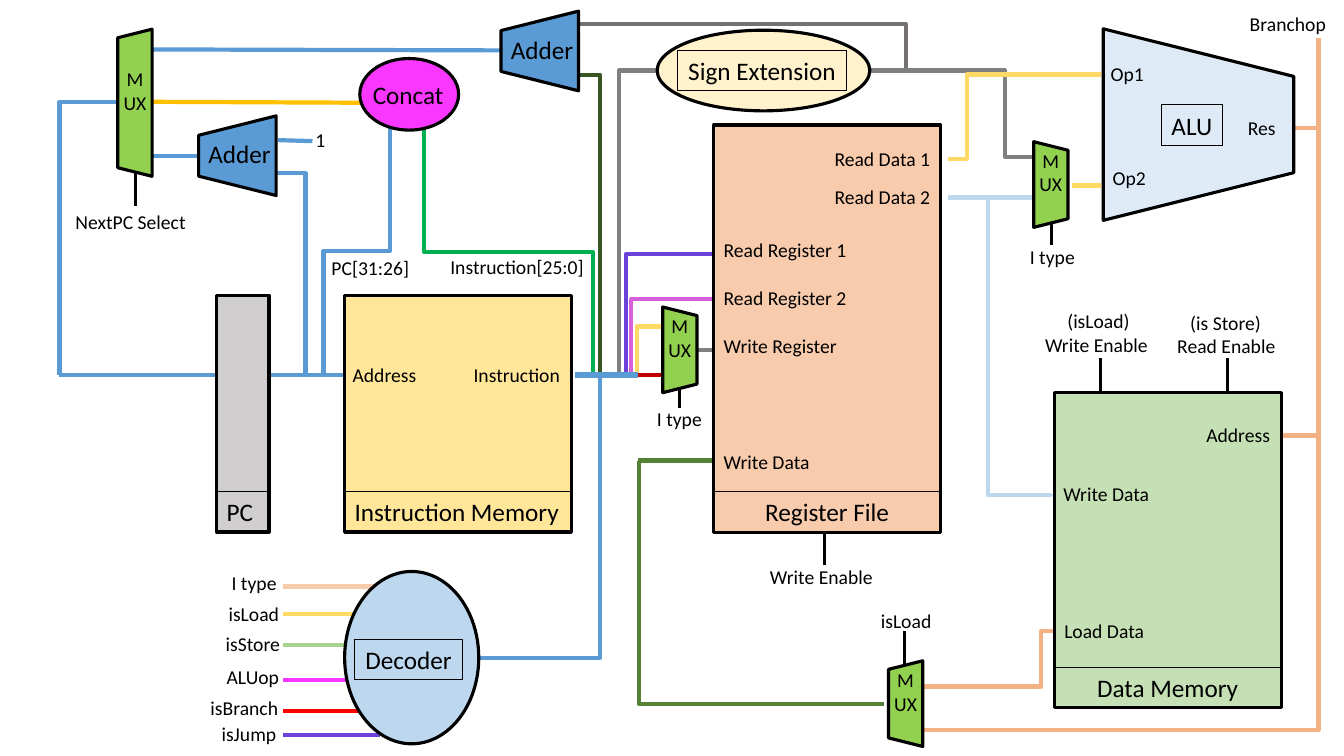
"""Draw the datapath of a single-cycle processor on one slide."""
from lxml import etree
from pptx import Presentation
from pptx.dml.color import RGBColor
from pptx.enum.shapes import MSO_CONNECTOR, MSO_SHAPE
from pptx.enum.text import PP_ALIGN
from pptx.oxml.ns import qn
from pptx.util import Pt

STRAIGHT, ELBOW = MSO_CONNECTOR.STRAIGHT, MSO_CONNECTOR.ELBOW
RECT, OVAL, TRAP = MSO_SHAPE.RECTANGLE, MSO_SHAPE.OVAL, MSO_SHAPE.TRAPEZOID
LEFT, CENTER = PP_ALIGN.LEFT, PP_ALIGN.CENTER

BLACK = RGBColor(0, 0, 0)
BLUE = RGBColor(0x5B, 0x9B, 0xD5)
PALE = RGBColor(0xBD, 0xD7, 0xEE)
ICE = RGBColor(0xDE, 0xEB, 0xF7)
GOLD = RGBColor(0xFF, 0xC0, 0x00)
YELLOW = RGBColor(0xFF, 0xD9, 0x66)
SAND = RGBColor(0xFF, 0xE6, 0x99)
CREAM = RGBColor(0xFF, 0xF2, 0xCC)
GREEN = RGBColor(0x00, 0xB0, 0x50)
FOREST = RGBColor(0x38, 0x57, 0x23)
MOSS = RGBColor(0x54, 0x82, 0x35)
LIME = RGBColor(0x92, 0xD0, 0x50)
SAGE = RGBColor(0xA9, 0xD1, 0x8E)
MINT = RGBColor(0xC5, 0xE0, 0xB4)
GRAY = RGBColor(0x80, 0x80, 0x80)
SLATE = RGBColor(0x76, 0x71, 0x71)
SILVER = RGBColor(0xD0, 0xCE, 0xCE)
PEACH = RGBColor(0xF8, 0xCB, 0xAD)
ORANGE = RGBColor(0xF4, 0xB1, 0x83)
RED = RGBColor(0xFF, 0, 0)
WINE = RGBColor(0xC0, 0, 0)
PURPLE = RGBColor(0x6C, 0x42, 0xDB)
ORCHID = RGBColor(0xD6, 0x60, 0xDB)
PINK = RGBColor(0xFA, 0x37, 0xFF)
BUS = 267.8


class Sheet:
    """Hold the style and the slide, and draw each kind of element."""

    font, small, large = "Calibri", 14, 18
    thin, edge, thick = 0.75, 2.25, 3

    def __init__(self, slide):
        self.shapes = slide.shapes

    def link(self, kind, color, ends, width):
        line = self.shapes.add_connector(kind, *map(Pt, ends))
        line.line.color.rgb = color
        line.line.width = Pt(width)
        etree.SubElement(line._element.spPr, qn("a:effectLst"))
        return line

    def wire(self, color, *ends, width=thick):
        self.link(STRAIGHT, color, ends, width)

    def elbow(self, color, x1, y1, x2, y2, bend=None, down=False):
        mx, my, dx, dy = (x1 + x2) / 2, (y1 + y2) / 2, x2 - x1, y2 - y1
        if down:
            turn = 90 if dx * dy < 0 else 270
            sign = 1 if turn == 90 else -1
            hx, hy = sign * dy / 2, -sign * dx / 2
        else:
            turn = 180 if dx < 0 else 0
            sign = -1 if turn else 1
            hx, hy = sign * dx / 2, sign * dy / 2
        ends = mx - hx, my - hy, mx + hx, my + hy
        props = self.link(ELBOW, color, ends, self.thick)._element.spPr
        props.find(qn("a:xfrm")).set("rot", str(turn * 60000))
        geom = props.find(qn("a:prstGeom"))
        if bend is None:
            geom.set("prst", "bentConnector2")
            return
        ratio = (bend - y1) / dy if down else (bend - x1) / dx
        guide = etree.SubElement(geom.find(qn("a:avLst")), qn("a:gd"))
        guide.set("name", "adj1")
        guide.set("fmla", f"val {round(ratio * 100000)}")

    def shape(self, kind, color, x, y, w, h, turn=0):
        item = self.shapes.add_shape(kind, Pt(x), Pt(y), Pt(w), Pt(h))
        item.shadow.inherit = False
        item.fill.solid()
        item.fill.fore_color.rgb = color
        item.line.color.rgb = BLACK
        item.line.width = Pt(self.edge)
        item.rotation = turn

    def label(self, text, x, y, w, h=24.5, size=small, align=LEFT, wrap=True):
        box = self.shapes.add_textbox(Pt(x), Pt(y), Pt(w), Pt(h))
        box.text_frame.word_wrap = wrap
        para = box.text_frame.paragraphs[0]
        para.text, para.alignment = text, align
        para.font.name, para.font.size = self.font, Pt(size)
        para.font.color.rgb = BLACK
        return box

    def title(self, text, x, y, w, align=CENTER, wrap=True):
        return self.label(text, x, y, w, 29, self.large, align, wrap)

    def frame(self, *args, **more):
        box = self.title(*args, **more)
        box.line.color.rgb = BLACK
        box.line.width = Pt(self.thin)

    def block(self, text, color, x, y, w, h, align=CENTER, wrap=True):
        self.shape(RECT, color, x, y, w, h)
        self.frame(text, x, y + h - 29, w, align=align, wrap=wrap)

    def funnel(self, color, cx, cy, span, depth, turn):
        self.shape(TRAP, color, cx - span / 2, cy - depth / 2, span, depth, turn)

    def mux(self, cx, cy, span, turn):
        self.funnel(LIME, cx, cy, span, 24.5, turn)
        self.label("MUX", cx - 15.5, cy - 29, 31, 58, align=CENTER)

    def adder(self, cx, cy):
        self.funnel(BLUE, cx, cy, 56.9, 55.4, 270)
        self.title("Adder", cx - 27.8, cy - 15.8, 59.8, LEFT, False)


deck = Presentation()
deck.slide_width, deck.slide_height = Pt(960), Pt(540)
sheet = Sheet(deck.slides.add_slide(deck.slide_layouts[6]))

sheet.wire(GOLD, 102.2, 72.7, 259.2, 73.4)
sheet.elbow(GREEN, 423.4, BUS, 303.1, 92.2, 180, True)
sheet.elbow(BLUE, 231.1, BUS, 278.6, 91.4, 179.3, True)
sheet.elbow(SLATE, 645.8, 49, 410.4, 17.3, 647.3)
sheet.elbow(FOREST, 428.4, BUS, 413.3, 53.3, 53.5, True)
sheet.wire(BLUE, 103, 35.3, 357.8, 36)
sheet.wire(BLUE, 107.3, 111.6, 141.8, 111.6)
sheet.elbow(BLUE, 218.2, BUS, 198, 125.3, 123.8, True)
sheet.wire(BLUE, 42.5, BUS, 155.5, BUS)
sheet.elbow(BLUE, 428.4, BUS, 342, 470.2, down=True)
sheet.wire(BLUE, 191.5, BUS, 244.8, BUS)
sheet.elbow(GRAY, 622.1, 50.4, 739.4, 112.3, 717.8)
sheet.elbow(GRAY, 442.1, BUS, 469.4, 50.4, down=True)
sheet.wire(MOSS, 455.8, 329, 517.7, 329)
sheet.elbow(PURPLE, 447.1, BUS, 509.8, 180, 181.4, True)
sheet.elbow(MOSS, 631.4, 502.6, 455.8, 329, 456.5)
sheet.wire(GRAY, 497.5, 249.8, 532.1, 249.8)
sheet.elbow(YELLOW, 455, BUS, 473, 231.8, 233.3, True)
sheet.wire(WINE, 453.6, BUS, 473, BUS)
sheet.elbow(ORANGE, 752.4, 450.7, 658.8, 490.3, 743.8)
sheet.elbow(ORANGE, 923.8, 91.4, 915.1, 311, 941.8)
sheet.wire(PALE, 676.8, 141.1, 738.7, 141.1)
sheet.elbow(YELLOW, 676.8, 113.8, 786.2, 53.3, 690.5)
sheet.wire(YELLOW, 765.4, 132.5, 786.2, 132.5)
sheet.elbow(ORANGE, 941.8, 311, 659.5, 521.3, 941.8)
sheet.elbow(ORCHID, 451.4, BUS, 508.3, 213.8, 451)
sheet.elbow(PALE, 705.6, 141.1, 751, 352.8, 353.5, True)
sheet.elbow(BLUE, 85, 72.7, 42.5, BUS)
sheet.wire(BLUE, 198.7, 100.1, 223.2, 100.8)
sheet.wire(ORANGE, 941.8, 92.2, 941.8, 27.4)
sheet.wire(BLUE, 410.4, BUS, 455.8, BUS, width=4.5)

for x, top, low in [(786.2, 255.6, 280.1), (877, 255.6, 280.1), (589, 380.2, 403.9),
                    (751, 159.8, 175), (645.8, 450.7, 475.2),
                    (485.3, 276.5, 291.6), (96.5, 123.1, 146.9)]:
    sheet.wire(BLACK, x, low, x, top, width=sheet.edge)

for text, color, x, y, end, row in [
        ("I type", PEACH, 158.4, 404.6, 267.8, 419), ("isLoad", YELLOW, 156.2, 426.2, 253.4, 438.8),
        ("isStore", SAGE, 154.1, 447.8, 247.7, 460.8), ("ALUop", PINK, 154.8, 471.6, 255.6, 485.6),
        ("isBranch", RED, 143.3, 493.2, 255.6, 507.6),
        ("isJump", PURPLE, 151.2, 511.9, 271.4, 525.2)]:
    sheet.wire(color, 202, row, end, row)
    sheet.label(text, x, y, 67)

sheet.block("Instruction Memory", SAND, 246.2, 211, 162, 169, LEFT, False)
sheet.block("PC", SILVER, 154.8, 211, 37.4, 169, LEFT)
sheet.block("Register File", PEACH, 509.8, 89.3, 162, 290.9)
sheet.block("Data Memory", MINT, 753.1, 280.1, 162, 225.4)
sheet.funnel(ICE, 856.1, 89, 136.8, 136.1, 90)
sheet.frame("ALU", 829.4, 74.9, 43.9)
sheet.shape(OVAL, CREAM, 469.4, 21.6, 151.9, 57.6)
sheet.frame("Sign Extension", 483.8, 36, 121)
sheet.shape(OVAL, PALE, 246.2, 408.2, 95.8, 123.1)
sheet.frame("Decoder", 253.4, 456.5, 77)
sheet.shape(OVAL, PINK, 257, 41.8, 70.6, 51.1)
sheet.title("Concat", 259.2, 53.3, 65.5, LEFT, False)
sheet.adder(169.6, 111.2)
sheet.adder(385.6, 36.4)
sheet.mux(96.4, 73.4, 105.1, 270)
sheet.mux(750.6, 131.8, 61.2, 90)
sheet.mux(485.6, 249.9, 61.2, 90)
sheet.mux(646.9, 502.6, 61.2, 270)

for text, x, y, w in [
        ("Address", 244.8, 255.6, 60.5), ("Instruction", 331.2, 255.6, 79.2),
        ("Address", 854.6, 298.8, 60.5), ("Load Data", 753.1, 438.5, 73.4),
        ("Write Data", 752.4, 340.6, 80.6), ("Write Data", 509.8, 318.2, 80.6),
        ("Read Register 1", 509.8, 166.3, 105.8), ("Read Register 2", 509.8, 200.9, 105.8),
        ("Write Register", 509.8, 234.7, 105.8), ("Read Data 2", 589, 128.9, 87.8),
        ("Read Data 1", 589, 101.5, 87.8), ("Op1", 786.2, 41, 40.3),
        ("Op2", 787.7, 115.2, 40.3), ("Res", 884.2, 79.2, 39.6),
        ("Write Enable", 542.9, 400.3, 95), ("Write Enable", 739.4, 234, 95),
        ("Read Enable", 833.8, 234.7, 95), ("I type", 728.6, 171.4, 48.2),
        ("I type", 462.2, 287.3, 48.2), ("isLoad", 622.1, 431.3, 54),
        ("(isLoad)", 755.3, 217.4, 63.4), ("(is Store)", 843.1, 218.9, 67.7),
        ("NextPC Select", 46.8, 146.2, 112.3), ("1", 218.2, 87.8, 60.5),
        ("Branchop", 885.6, 5, 79.9), ("PC[31:26]", 229.7, 179.3, 74.9),
        ("Instruction[25:0]", 314.6, 178.6, 112.3)]:
    sheet.label(text, x, y, w)

deck.save("out.pptx")
